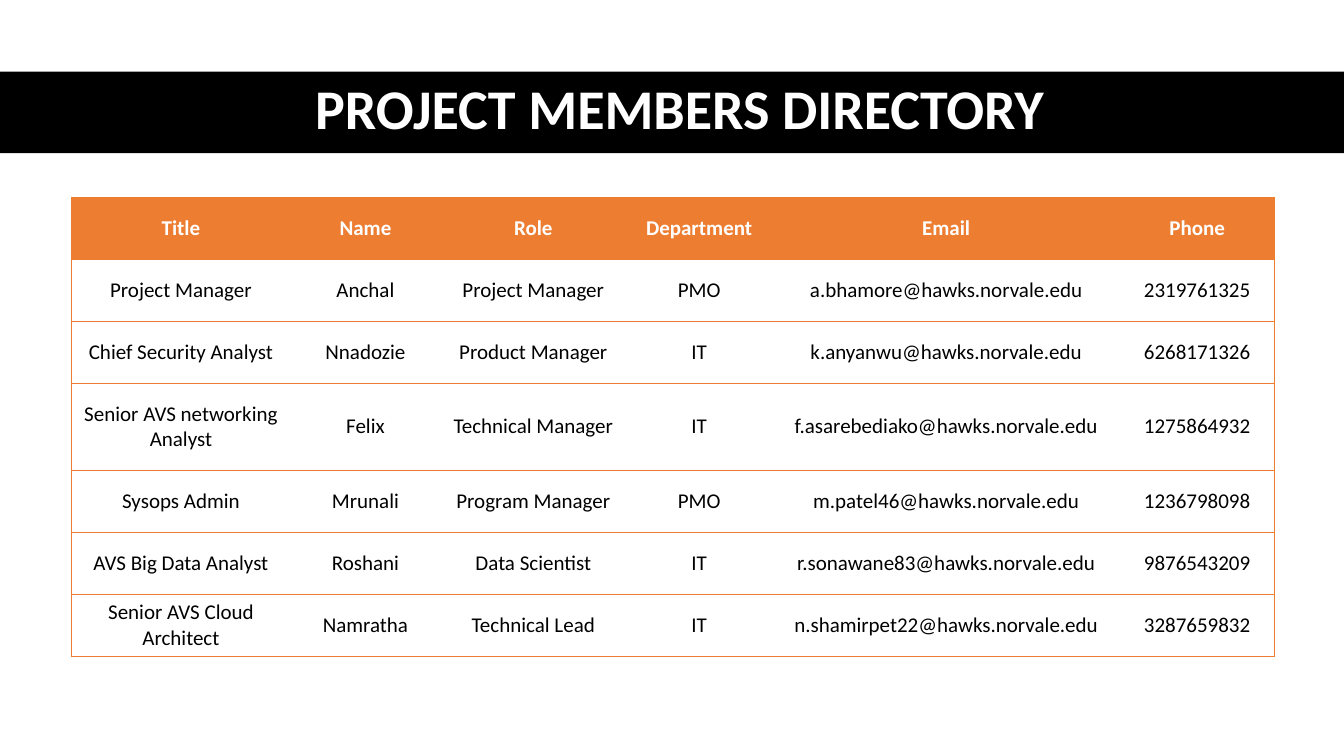
from lxml import etree
from pptx import Presentation
from pptx import util as u
from pptx.dml import color
from pptx.enum import shapes, text
from pptx.oxml import ns

ORANGE, BLACK, WHITE = "ED7D31", "000000", "FFFFFF"
FONT = "Calibri"
COLUMN_WIDTHS = [2.21, 1.45, 1.88, 1.41, 3.49, 1.49]
ROW_HEIGHT, TALL_ROW_HEIGHT, TALL_ROW = 0.615, 0.86, 3
MAIL_DOMAIN = "@hawks.norvale.edu"
HEADINGS = ["Title", "Name", "Role", "Department", "Email", "Phone"]
MEMBERS = [
    ["Project Manager", "Anchal", "Project Manager", "PMO", "a.bhamore", "2319761325"],
    ["Chief Security Analyst", "Nnadozie", "Product Manager", "IT", "k.anyanwu", "6268171326"],
    ["Senior AVS networking Analyst", "Felix", "Technical Manager", "IT", "f.asarebediako", "1275864932"],
    ["Sysops Admin", "Mrunali", "Program Manager", "PMO", "m.patel46", "1236798098"],
    ["AVS Big Data Analyst", "Roshani", "Data Scientist", "IT", "r.sonawane83", "9876543209"],
    ["Senior AVS Cloud Architect", "Namratha", "Technical Lead", "IT", "n.shamirpet22", "3287659832"],
]


def paint(target, hex_color):
    """Give a fill a solid colour."""
    target.solid()
    target.fore_color.rgb = color.RGBColor.from_string(hex_color)


def write(frame, words, size, hex_color, bold):
    """Put one centred paragraph into a text frame."""
    frame.word_wrap = True
    paragraph = frame.paragraphs[0]
    paragraph.text = words
    paragraph.alignment = text.PP_ALIGN.CENTER
    font = paragraph.font
    font.name, font.size, font.bold = FONT, u.Pt(size), bold
    paint(font.fill, hex_color)
    return paragraph


def set_borders(cell, edges):
    """Draw thin orange lines on the named edges and none on the others."""
    properties = cell._tc.get_or_add_tcPr()
    for position, edge in enumerate("LRTB"):
        line = etree.Element(ns.qn(f"a:ln{edge}"), w=str(u.Pt(0.5)))
        if edge in edges:
            solid = etree.SubElement(line, ns.qn("a:solidFill"))
            etree.SubElement(solid, ns.qn("a:srgbClr"), val=ORANGE)
        else:
            etree.SubElement(line, ns.qn("a:noFill"))
        properties.insert(position, line)


def add_title_band(slide, words):
    """Add the black band across the slide and its title."""
    band = slide.shapes.add_shape(
        shapes.MSO_SHAPE.RECTANGLE, 0, u.Inches(0.71), u.Inches(13.33), u.Inches(0.81))
    band.shadow.inherit = False
    paint(band.fill, BLACK)
    band.line.fill.background()
    title = slide.shapes.add_textbox(
        u.Inches(0.61), u.Inches(0.7), u.Inches(12.26), u.Inches(0.81))
    title.text_frame.vertical_anchor = text.MSO_ANCHOR.MIDDLE
    write(title.text_frame, words, 40, WHITE, True).line_spacing = 0.9


def fill_cell(cell, words, is_heading, edges):
    """Write and colour one directory cell."""
    cell.vertical_anchor = text.MSO_ANCHOR.MIDDLE
    cell.margin_left, cell.margin_right = u.Inches(0.07), u.Inches(0.11)
    cell.margin_top = cell.margin_bottom = u.Inches(0.05)
    paint(cell.fill, ORANGE if is_heading else WHITE)
    write(cell.text_frame, words, 15, WHITE if is_heading else BLACK, is_heading)
    set_borders(cell, edges)


def add_directory(slide):
    """Add the table of project members."""
    entries = [HEADINGS]
    for title, name, role, department, mailbox, phone in MEMBERS:
        entries.append([title, name, role, department, mailbox + MAIL_DOMAIN, phone])
    directory = slide.shapes.add_table(
        len(entries), len(HEADINGS), u.Inches(0.71), u.Inches(1.96),
        u.Inches(11.93), u.Inches(4.55)).table
    directory.horz_banding = False
    for column, width in zip(directory.columns, COLUMN_WIDTHS):
        column.width = u.Inches(width)
    last = len(HEADINGS) - 1
    for r, entry in enumerate(entries):
        directory.rows[r].height = u.Inches(TALL_ROW_HEIGHT if r == TALL_ROW else ROW_HEIGHT)
        for c, words in enumerate(entry):
            edges = "TB" + ("L" if c == 0 else "") + ("R" if c == last else "")
            fill_cell(directory.cell(r, c), words, r == 0, edges)


def main():
    """Build the slide and save it."""
    deck = Presentation()
    deck.slide_width, deck.slide_height = u.Inches(13.33), u.Inches(7.5)
    slide = deck.slides.add_slide(deck.slide_layouts[6])
    add_title_band(slide, "PROJECT MEMBERS DIRECTORY")
    add_directory(slide)
    deck.save("out.pptx")


if __name__ == "__main__":
    main()
